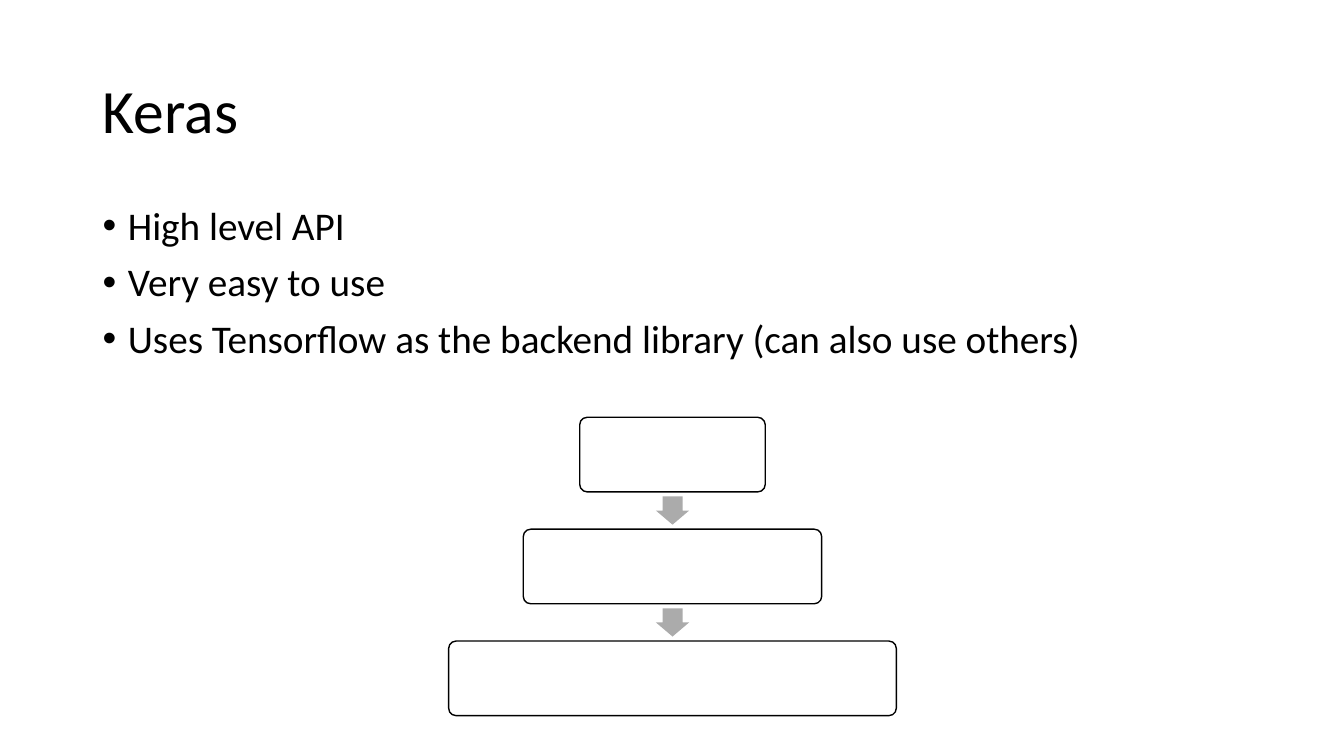
from lxml.etree import SubElement
from pptx import Presentation
from pptx.dml.color import RGBColor
from pptx.enum.shapes import MSO_SHAPE
from pptx.enum.text import MSO_ANCHOR, MSO_AUTO_SIZE, PP_ALIGN
from pptx.oxml.ns import qn
from pptx.util import Inches, Pt


def color(value):
    return RGBColor.from_string(value)


class SlideBuilder:
    font = "Calibri"
    ink = "000000"
    paper = "FFFFFF"
    arrow_gray = "ABABAB"

    def __init__(self, page):
        self.page = page

    def place(self, shape, left, top, width, height):
        shape.left, shape.top = Inches(left), Inches(top)
        shape.width, shape.height = Inches(width), Inches(height)

    def format_text(self, para, size):
        para.alignment = PP_ALIGN.LEFT
        para.line_spacing = 0.9
        for span in para.runs:
            span.font.name = self.font
            span.font.size = Pt(size)
            span.font.color.rgb = color(self.ink)

    def title(self, text, left, top, width, height):
        title = self.page.shapes.title
        self.place(title, left, top, width, height)
        frame = title.text_frame
        frame.text = text
        frame.auto_size = MSO_AUTO_SIZE.NONE
        frame.vertical_anchor = MSO_ANCHOR.MIDDLE
        self.format_text(frame.paragraphs[0], 44)

    def bullets(self, lines, left, top, width, height):
        box = self.page.shapes.add_textbox(
            Inches(left), Inches(top), Inches(width), Inches(height))
        frame = box.text_frame
        frame.word_wrap = True
        frame.text = "\n".join(lines)
        for para in frame.paragraphs:
            self.format_text(para, 28)
            para.space_before = Pt(10)
            properties = para._p.get_or_add_pPr()
            properties.set("marL", str(Inches(0.25)))
            properties.set("indent", str(Inches(-0.25)))
            SubElement(properties, qn("a:buFont"), typeface="Arial")
            SubElement(properties, qn("a:buChar"), char="•")

    def shape(self, kind, center_x, center_y, width, height, fill, adjustments):
        shape = self.page.shapes.add_shape(
            kind, Inches(center_x - width / 2), Inches(center_y - height / 2),
            Inches(width), Inches(height))
        shape.shadow.inherit = False
        shape.fill.solid()
        shape.fill.fore_color.rgb = color(fill)
        for index, value in enumerate(adjustments):
            shape.adjustments[index] = value
        return shape

    def layer(self, center_x, center_y, width, height):
        box = self.shape(MSO_SHAPE.ROUNDED_RECTANGLE, center_x, center_y,
                         width, height, self.paper, [0.1])
        box.line.color.rgb = color(self.ink)
        box.line.width = Pt(1)

    def down_arrow(self, center_x, center_y):
        arrow = self.shape(MSO_SHAPE.RIGHT_ARROW, center_x, center_y,
                           0.28, 0.33, self.arrow_gray, [0.6, 0.5])
        arrow.rotation = 90
        arrow.line.fill.background()


def main():
    deck = Presentation()
    deck.slide_width, deck.slide_height = Inches(13.33), Inches(7.5)
    builder = SlideBuilder(deck.slides.add_slide(deck.slide_layouts[5]))
    builder.title("Keras", 0.92, 0.4, 11.5, 1.45)
    builder.bullets([
        "High level API",
        "Very easy to use",
        "Uses Tensorflow as the backend library (can also use others)",
    ], 0.92, 2, 11.5, 4.76)

    center_x, first_y, pitch = 6.67, 4.51, 1.11
    for index, width in enumerate([1.84, 2.96, 4.44]):
        center_y = first_y + index * pitch
        if index > 0:
            builder.down_arrow(center_x, center_y - pitch / 2)
        builder.layer(center_x, center_y, width, 0.74)

    deck.save("out.pptx")


if __name__ == "__main__":
    main()
